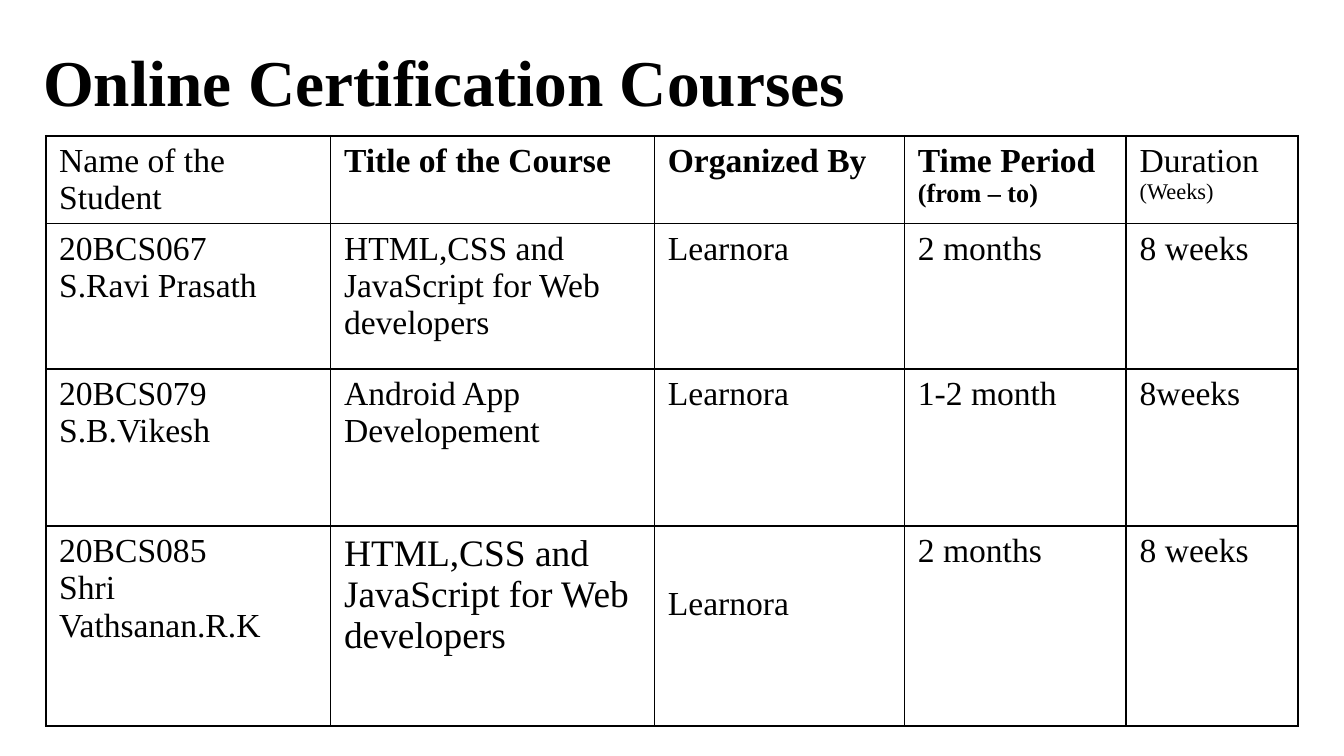
from typing import NamedTuple

from lxml.etree import SubElement
from pptx import Presentation
from pptx.dml.color import RGBColor
from pptx.enum.text import MSO_ANCHOR as Anchor, MSO_AUTO_SIZE as AutoSize, PP_ALIGN as Align
from pptx.oxml.ns import qn
from pptx.util import Inches, Pt

WIDTH = 10
HEIGHT = WIDTH * 9 / 16
MARGIN = 0.34
TABLE_TOP = 1.01
COLUMNS = (2.12, 2.41, 1.86, 1.65, 1.28)
ROWS = (0.65, 1.08, 1.17, 1.49)
COLORS = {"ink": "000000", "paper": "FFFFFF"}
FONT = "Times New Roman"


class Line(NamedTuple):
    text: str
    size: float = 18
    bold: bool = False


class Course(NamedTuple):
    number: str
    student: str
    title: str
    period: str
    duration: str
    title_size: float = 18


HEADER = (
    (Line("Name of the Student"),),
    (Line("Title of the Course", bold=True),),
    (Line("Organized By", bold=True),),
    (Line("Time Period", bold=True), Line("(from – to)", 14, True)),
    (Line("Duration"), Line("(Weeks)", 12)),
)
ORGANIZER = "Learnora"
WEB_COURSE = "HTML,CSS and JavaScript for Web developers"
COURSES = (
    Course("20BCS067", "S.Ravi Prasath", WEB_COURSE, "2 months", "8 weeks"),
    Course("20BCS079", "S.B.Vikesh", "Android App Developement", "1-2 month", "8weeks"),
    Course("20BCS085", "Shri Vathsanan.R.K", WEB_COURSE, "2 months", "8 weeks", 20),
)


def set_all(target, values: dict) -> None:
    for name, value in values.items():
        setattr(target, name, value)


def write_lines(tf, lines: tuple[Line, ...]) -> None:
    for i, line in enumerate(lines):
        p = tf.paragraphs[0] if i == 0 else tf.add_paragraph()
        p.alignment = Align.LEFT
        r = p.add_run()
        r.text = line.text
        set_all(r.font, {"name": FONT, "size": Pt(line.size), "bold": line.bold})
        r.font.color.rgb = RGBColor.from_string(COLORS["ink"])


def add_borders(cell) -> None:
    """Put the four border lines ahead of the cell's fill, as the schema asks."""
    tc_pr = cell._tc.get_or_add_tcPr()
    for i, side in enumerate(("lnL", "lnR", "lnT", "lnB")):
        ln = SubElement(tc_pr, qn(f"a:{side}"), w=str(Pt(1)))
        fill = SubElement(ln, qn("a:solidFill"))
        SubElement(fill, qn("a:srgbClr"), val=COLORS["ink"])
        tc_pr.insert(i, ln)


def course_cells(course: Course) -> tuple[tuple[Line, ...], ...]:
    return (
        (Line(course.number), Line(course.student)),
        (Line(course.title, course.title_size),),
        (Line(ORGANIZER),),
        (Line(course.period),),
        (Line(course.duration),),
    )


def add_title(s, text: str) -> None:
    sp = s.shapes.title
    set_all(sp, {"left": Inches(0.22), "top": Inches(0.21),
                 "width": Inches(sum(COLUMNS)), "height": Inches(0.63)})
    tf = sp.text_frame
    set_all(tf, {"word_wrap": True, "auto_size": AutoSize.NONE, "vertical_anchor": Anchor.TOP,
                 "margin_left": Inches(0.1), "margin_right": Inches(0.1),
                 "margin_top": Inches(0.1), "margin_bottom": Inches(0)})
    write_lines(tf, (Line(text, 35, True),))


def add_course_table(s):
    table = s.shapes.add_table(len(ROWS), len(COLUMNS), Inches(MARGIN), Inches(TABLE_TOP),
                               Inches(sum(COLUMNS)), Inches(sum(ROWS))).table
    set_all(table, {"first_row": False, "horz_banding": False})
    for column, width in zip(table.columns, COLUMNS):
        column.width = Inches(width)
    for row, height, contents in zip(table.rows, ROWS, (HEADER, *map(course_cells, COURSES))):
        row.height = Inches(height)
        for cell, lines in zip(row.cells, contents):
            set_all(cell, {"margin_left": Inches(0.1), "margin_right": Inches(0.1),
                           "margin_top": Inches(0.05), "margin_bottom": Inches(0.05)})
            cell.fill.solid()
            cell.fill.fore_color.rgb = RGBColor.from_string(COLORS["paper"])
            add_borders(cell)
            write_lines(cell.text_frame, lines)
    return table


def main() -> None:
    prs = Presentation()
    set_all(prs, {"slide_width": Inches(WIDTH), "slide_height": Inches(HEIGHT)})
    s = prs.slides.add_slide(prs.slide_layouts[5])
    add_title(s, "Online Certification Courses")
    table = add_course_table(s)
    last_organizer = table.cell(len(ROWS) - 1, 2)
    set_all(last_organizer, {"vertical_anchor": Anchor.MIDDLE, "margin_bottom": Inches(0.38)})
    prs.save("out.pptx")


if __name__ == "__main__":
    main()
